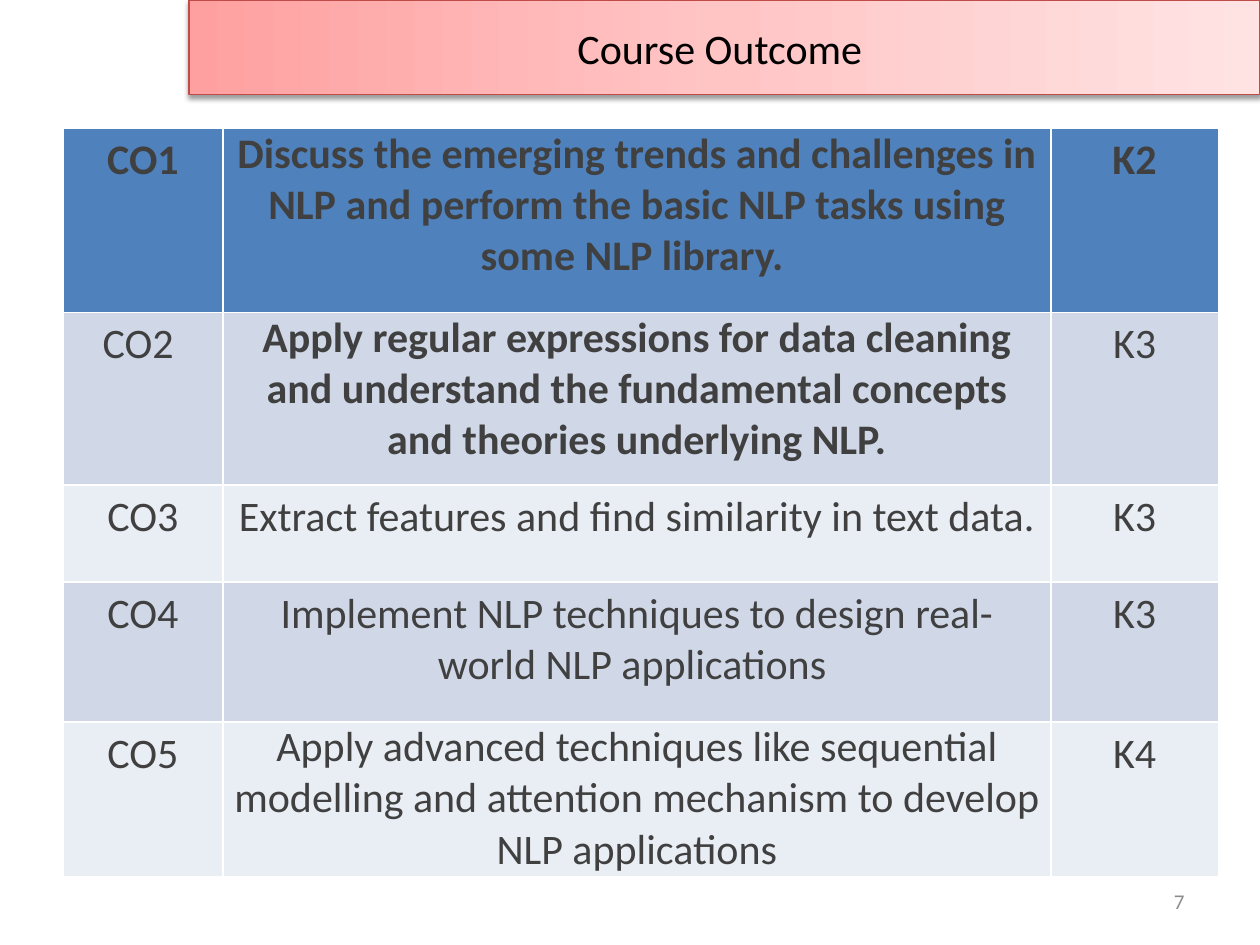
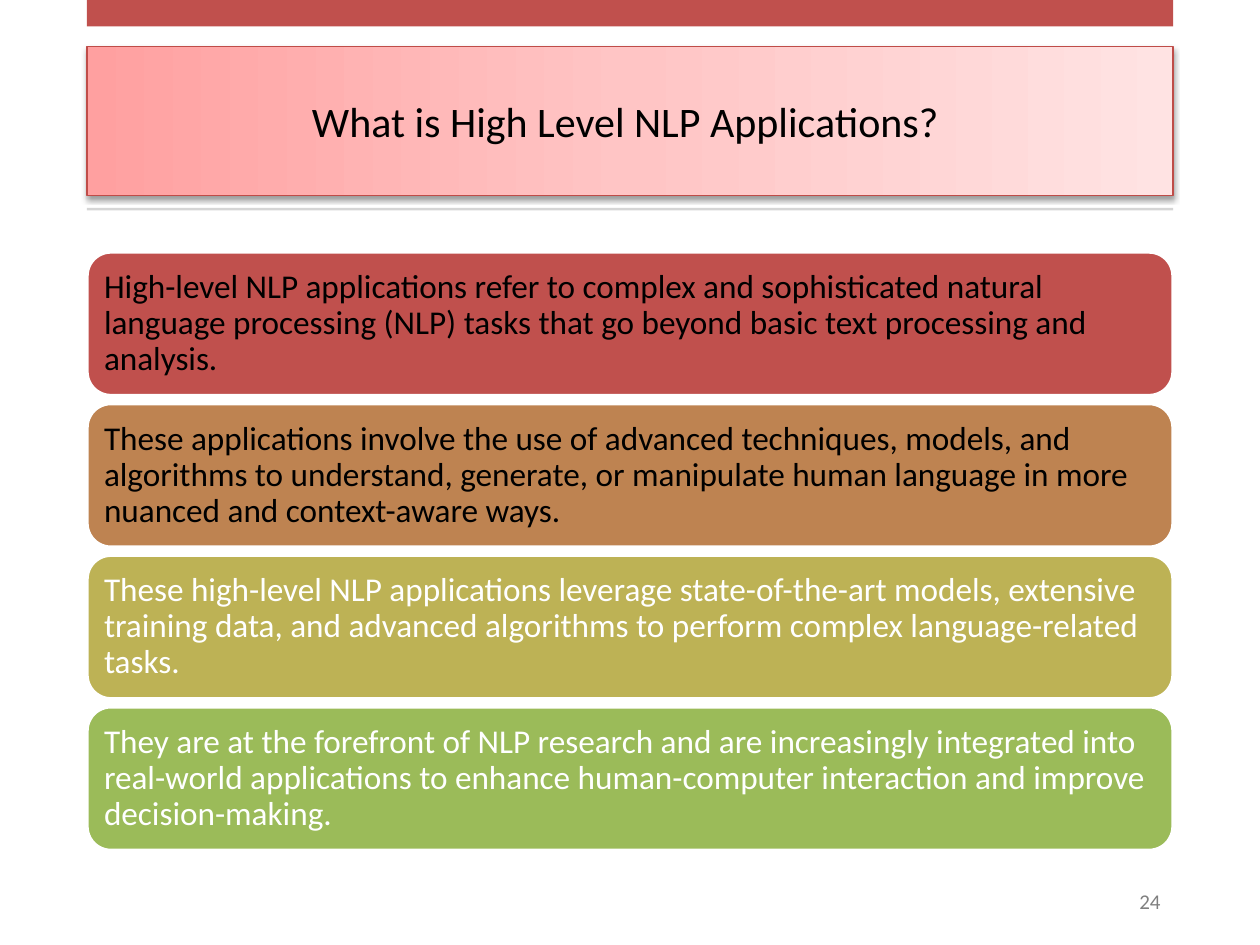
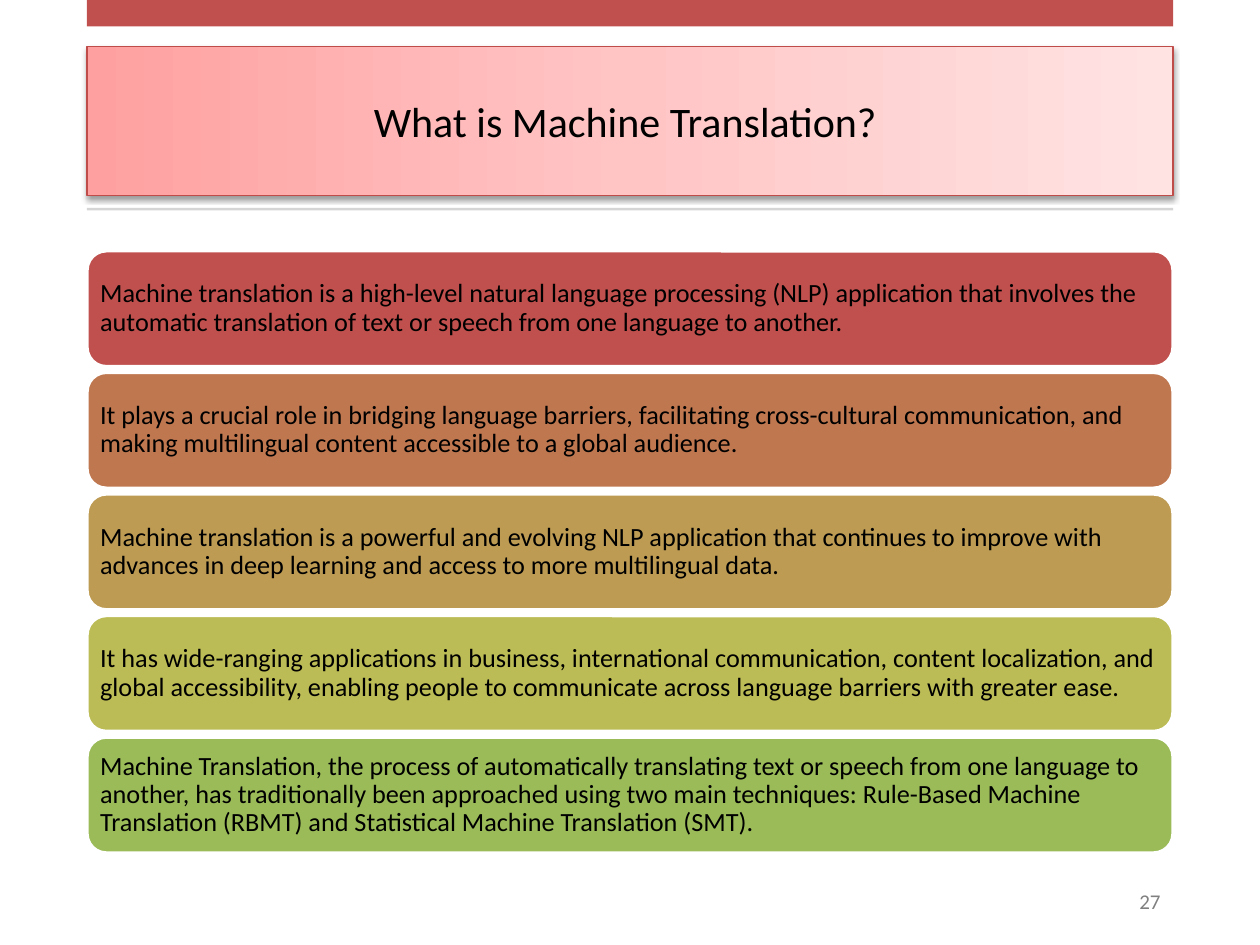
"""Build three course slides on natural language processing applications."""
from dataclasses import dataclass

from lxml import etree
from pptx import Presentation
from pptx.dml.color import RGBColor
from pptx.enum.shapes import MSO_SHAPE
from pptx.enum.text import MSO_ANCHOR, MSO_AUTO_SIZE, PP_ALIGN
from pptx.oxml.ns import qn
from pptx.util import Inches, Pt

RECT, ROUNDED = MSO_SHAPE.RECTANGLE, MSO_SHAPE.ROUNDED_RECTANGLE
MIDDLE = MSO_ANCHOR.MIDDLE
LEFT, CENTER, RIGHT = PP_ALIGN.LEFT, PP_ALIGN.CENTER, PP_ALIGN.RIGHT
NO_FIT = MSO_AUTO_SIZE.NONE
TITLE_ONLY = 5


@dataclass(frozen=True)
class Theme:
    font: str = "Calibri"
    title_size: int = 24
    table_size: int = 24
    number_size: int = 12
    black: str = "000000"
    white: str = "FFFFFF"
    accent: str = "C0504D"
    rule: str = "D5D5D5"
    title_line: str = "BF4C48"
    title_stops: tuple = ((0, "FFA0A0"), (50, "FFC5C5"), (100, "FFE3E3"))
    table_text: str = "404040"
    table_header: str = "4F81BD"
    table_bands: tuple = ("D0D8E8", "E9EDF4")
    number: str = "808080"
    first_number: str = "8C8C8C"


def rgb(code):
    return RGBColor.from_string(code)


def assign(target, values):
    for name, value in values.items():
        setattr(target, name, value)


class Deck:
    def __init__(self, theme):
        self.theme = theme
        self.prs = Presentation()
        assign(self.prs, {"slide_width": Inches(10), "slide_height": Inches(7.5)})
        self.slide = None

    def new_slide(self):
        self.slide = self.prs.slides.add_slide(self.prs.slide_layouts[TITLE_ONLY])

    def set_text(self, frame, text, size, color, align, bold=False, spacing=1.0):
        frame.text = text
        paragraph = frame.paragraphs[0]
        assign(paragraph, {"alignment": align, "line_spacing": spacing})
        font = paragraph.runs[0].font
        assign(font, {"name": self.theme.font, "size": Pt(size), "bold": bold})
        font.color.rgb = rgb(color)

    def title(self, text, left, top, width, height):
        title = self.slide.shapes.title
        assign(title, {"left": Inches(left), "top": Inches(top),
                       "width": Inches(width), "height": Inches(height)})
        title.fill.gradient()
        title.fill.gradient_angle = 0
        stops = title._element.spPr.find(".//" + qn("a:gsLst"))
        stops.clear()
        for position, color in self.theme.title_stops:
            stop = etree.SubElement(stops, qn("a:gs"), pos=str(position * 1000))
            etree.SubElement(stop, qn("a:srgbClr"), val=color)
        title.line.color.rgb = rgb(self.theme.title_line)
        title.line.width = Pt(0.75)
        self.drop_shadow(title)
        assign(title.text_frame, {"vertical_anchor": MIDDLE, "auto_size": NO_FIT,
                                  "word_wrap": True})
        self.set_text(title.text_frame, text, self.theme.title_size,
                      self.theme.black, CENTER)

    def drop_shadow(self, shape):
        shape.shadow.inherit = False
        effects = shape._element.spPr.find(qn("a:effectLst"))
        shadow = etree.SubElement(effects, qn("a:outerShdw"), blurRad=str(Pt(3.1)),
                                  dist=str(Pt(1.6)), dir="5400000", rotWithShape="0")
        color = etree.SubElement(shadow, qn("a:srgbClr"), val=self.theme.black)
        etree.SubElement(color, qn("a:alpha"), val="38000")

    def block(self, kind, left, top, width, height, fill):
        block = self.slide.shapes.add_shape(
            kind, Inches(left), Inches(top), Inches(width), Inches(height))
        block.shadow.inherit = False
        block.fill.solid()
        block.fill.fore_color.rgb = rgb(fill)
        block.line.fill.background()
        return block

    def number(self, text, left, width, color):
        number = self.slide.shapes.add_textbox(
            Inches(left), Inches(6.95), Inches(width), Inches(0.4))
        assign(number.text_frame, {"word_wrap": True, "vertical_anchor": MIDDLE})
        self.set_text(number.text_frame, text, self.theme.number_size, color, RIGHT)

    def table(self, rows, left, top, widths, heights, tight_rows, bold_cells):
        table = self.slide.shapes.add_table(
            len(rows), len(widths), Inches(left), Inches(top),
            Inches(sum(widths)), Inches(sum(heights))).table
        for column, width in zip(table.columns, widths):
            column.width = Inches(width)
        for r, (row, height) in enumerate(zip(rows, heights)):
            table.rows[r].height = Inches(height)
            fill = self.theme.table_bands[(r - 1) % 2] if r else self.theme.table_header
            for c, text in enumerate(row):
                cell = table.cell(r, c)
                cell.fill.solid()
                cell.fill.fore_color.rgb = rgb(fill)
                if c == 1 and r in tight_rows:
                    assign(cell, {"margin_left": Inches(0.07), "margin_right": Inches(0.07),
                                  "margin_top": 0, "margin_bottom": 0})
                self.set_text(cell.text_frame, text, self.theme.table_size,
                              self.theme.table_text, CENTER, bold=(r, c) in bold_cells)

    def cards(self, cards, top, bottom, height, size, inset):
        pitch = (bottom - top - height) / (len(cards) - 1)
        margins = {f"margin_{side}": Inches(inset)
                   for side in ("left", "top", "right", "bottom")}
        for i, (fill, color, text) in enumerate(cards):
            card = self.block(ROUNDED, 0.69, top + i * pitch, 8.62, height, fill)
            card.line.color.rgb = rgb(self.theme.white)
            card.line.width = Pt(2)
            assign(card.text_frame, {"word_wrap": True, "vertical_anchor": MIDDLE, **margins})
            self.set_text(card.text_frame, text, size, color, LEFT, spacing=0.9)

    def card_slide(self, title, number, cards, **layout):
        self.new_slide()
        self.title(title, 0.69, 0.37, 8.62, 1.18)
        self.block(RECT, 0.69, 0, 8.62, 0.21, self.theme.accent)
        self.block(RECT, 0.69, 1.65, 8.62, 0.02, self.theme.rule)
        self.number(number, 7.15, 2.16, self.theme.number)
        self.cards(cards, **layout)


def main():
    theme = Theme()
    deck = Deck(theme)

    outcomes = [
        ("CO1", "Discuss the emerging trends and challenges in NLP and perform the basic "
                "NLP tasks using some NLP library. ", "K2"),
        ("CO2 ", "Apply regular expressions for data cleaning and understand the "
                 "fundamental concepts and theories underlying NLP.", "K3"),
        ("CO3", "Extract features and find similarity in text data.", "K3"),
        ("CO4", "Implement NLP techniques to design real-world NLP applications ", "K3"),
        ("CO5", "Apply advanced techniques like sequential modelling and attention "
                "mechanism to develop NLP applications", "K4"),
    ]
    deck.new_slide()
    deck.number("7", 7.17, 2.33, theme.first_number)
    deck.title("Course Outcome ", 1.5, 0, 8.5, 0.75)
    deck.table(outcomes, 0.5, 1.02, widths=(1.27, 6.57, 1.33),
               heights=(1.46, 1.37, 0.77, 1.11, 1.23), tight_rows=(0, 1, 4),
               bold_cells={(0, 0), (0, 1), (0, 2), (1, 1)})

    applications = [
        (theme.accent, theme.black,
         "High-level NLP applications refer to complex and sophisticated natural language "
         "processing (NLP) tasks that go beyond basic text processing and analysis."),
        ("BE8351", theme.black,
         "These applications involve the use of advanced techniques, models, and algorithms "
         "to understand, generate, or manipulate human language in more nuanced and "
         "context-aware ways. "),
        ("BDB255", theme.white,
         "These high-level NLP applications leverage state-of-the-art models, extensive "
         "training data, and advanced algorithms to perform complex language-related tasks."),
        ("9BBB59", theme.white,
         "They are at the forefront of NLP research and are increasingly integrated into "
         "real-world applications to enhance human-computer interaction and improve "
         "decision-making."),
    ]
    deck.card_slide("What is High Level NLP Applications? ", "24", applications,
                    top=2, bottom=6.75, height=1.14, size=19, inset=0.08)

    translation = [
        (theme.accent, theme.black,
         "Machine translation is a high-level natural language processing (NLP) application "
         "that involves the automatic translation of text or speech from one language to "
         "another."),
        ("BF7750", theme.black,
         "It plays a crucial role in bridging language barriers, facilitating cross-cultural "
         "communication, and making multilingual content accessible to a global audience. "),
        ("BD9B53", theme.black,
         "Machine translation is a powerful and evolving NLP application that continues to "
         "improve with advances in deep learning and access to more multilingual data."),
        ("BCBC56", theme.black,
         "It has wide-ranging applications in business, international communication, content "
         "localization, and global accessibility, enabling people to communicate across "
         "language barriers with greater ease."),
        ("9BBB59", theme.black,
         "Machine Translation, the process of automatically translating text or speech from "
         "one language to another, has traditionally been approached using two main "
         "techniques: Rule-Based Machine Translation (RBMT) and Statistical Machine "
         "Translation (SMT)."),
    ]
    deck.card_slide("What is Machine Translation? ", "27", translation,
                    top=1.99, bottom=6.77, height=0.92, size=15, inset=0.06)

    deck.prs.save("out.pptx")


if __name__ == "__main__":
    main()
